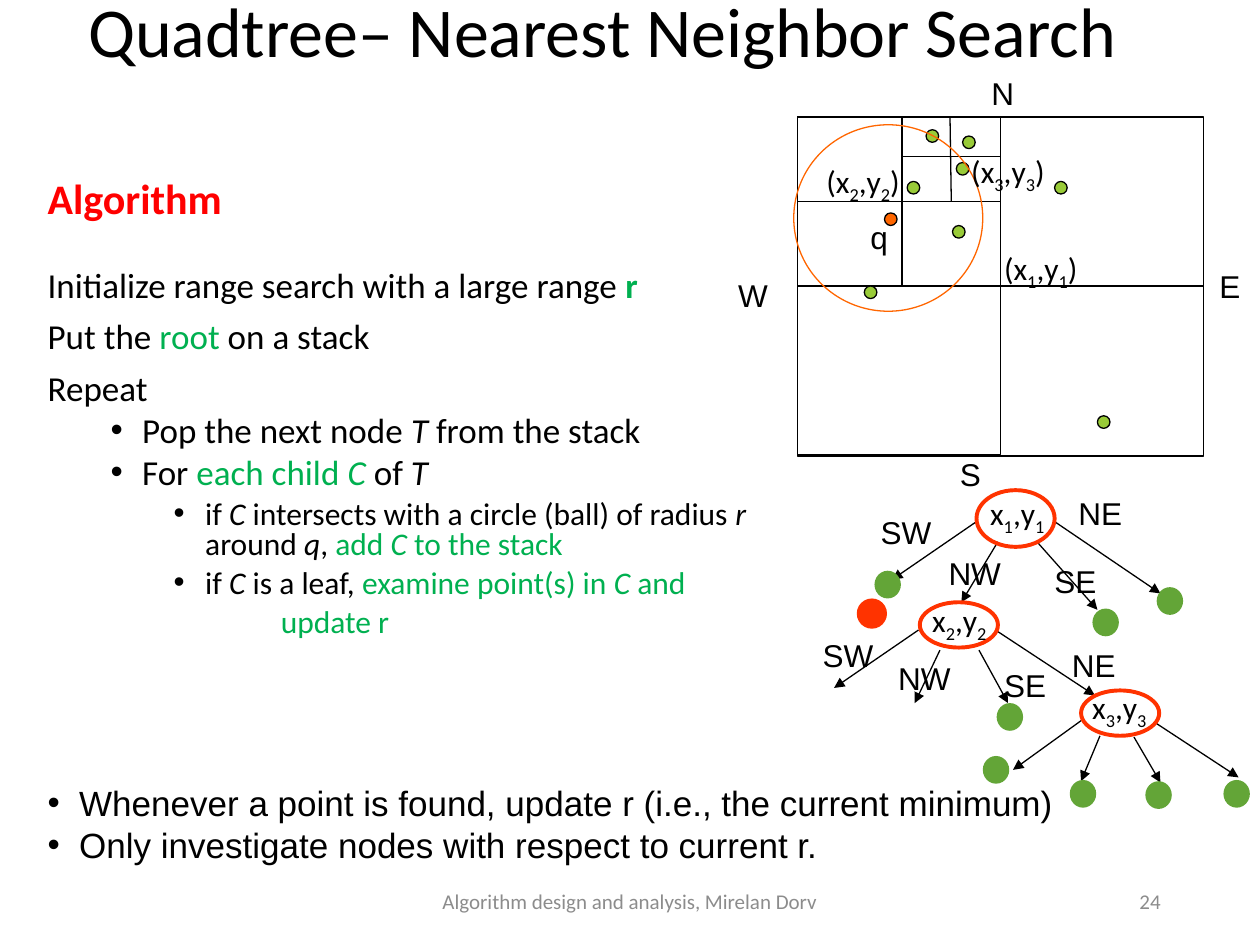
from lxml.etree import SubElement
from pptx import Presentation
from pptx.dml.color import RGBColor
from pptx.enum.shapes import MSO_CONNECTOR, MSO_SHAPE
from pptx.enum.text import MSO_ANCHOR, PP_ALIGN
from pptx.oxml.ns import qn
from pptx.util import Inches, Pt

COLORS = {
    "black": "000000", "red": "FF0000", "green": "00B050", "point": "99CB38",
    "query": "FF6600", "leaf": "63A537", "node": "FF3300", "footer": "8C8C8C",
}


class SlideBuilder:
    def __init__(self, slide):
        self.slide = slide

    def color(self, name):
        return RGBColor.from_string(COLORS[name])

    def text_box(self, left, top, width, height, wrap=True, anchor=MSO_ANCHOR.TOP):
        box = self.slide.shapes.add_textbox(
            Inches(left), Inches(top), Inches(width), Inches(height))
        frame = box.text_frame
        frame.word_wrap = wrap
        frame.vertical_anchor = anchor
        return frame

    def paragraph(self, frame, runs, size, font="Calibri", color="black", indent=0,
                  bullet=False, before=0, spacing=None, align=None):
        """Add runs of (text, marks); marks: g green, i italic, b bold, s subscript."""
        first = not frame.paragraphs[0].runs
        paragraph = frame.paragraphs[0] if first else frame.add_paragraph()
        properties = paragraph._p.get_or_add_pPr()
        properties.set("marL", str(Inches(indent)))
        properties.set("indent", str(Inches(-0.25 if bullet else 0)))
        paragraph.line_spacing = spacing
        paragraph.alignment = align
        if not first:
            paragraph.space_before = Pt(before)
        if bullet:
            SubElement(properties, qn("a:buFont")).set("typeface", "Arial")
            SubElement(properties, qn("a:buChar")).set("char", "•")
        paragraph.font.size = Pt(size)
        paragraph.font.name = font
        paragraph.font.color.rgb = self.color(color)
        for text, marks in runs:
            run = paragraph.add_run()
            run.text = text
            if "g" in marks:
                run.font.color.rgb = self.color("green")
            if "i" in marks:
                run.font.italic = True
            if "b" in marks:
                run.font.bold = True
            if "s" in marks:
                run._r.get_or_add_rPr().set("baseline", "-25000")

    def label(self, left, top, width, runs, font="Arial"):
        frame = self.text_box(left, top, width, 0.4, wrap=False)
        self.paragraph(frame, runs, 18, font)

    def shape(self, kind, left, top, width, height, fill=None, line=None, weight=0.75):
        shape = self.slide.shapes.add_shape(
            kind, Inches(left), Inches(top), Inches(width), Inches(height))
        shape.shadow.inherit = False
        if fill:
            shape.fill.solid()
            shape.fill.fore_color.rgb = self.color(fill)
        else:
            shape.fill.background()
        if line:
            shape.line.color.rgb = self.color(line)
            shape.line.width = Pt(weight)
        else:
            shape.line.fill.background()

    def line(self, x1, y1, x2, y2, arrow=False):
        connector = self.slide.shapes.add_connector(
            MSO_CONNECTOR.STRAIGHT, Inches(x1), Inches(y1), Inches(x2), Inches(y2))
        connector.line.color.rgb = self.color("black")
        connector.line.width = Pt(0.75)
        if arrow:
            SubElement(connector.line._get_or_add_ln(), qn("a:tailEnd")).set("type", "triangle")
        SubElement(connector._element.spPr, qn("a:effectLst"))


def coordinates(index):
    return [("x", ""), (index, "s"), (",y", ""), (index, "s")]


def add_algorithm(builder):
    frame = builder.text_box(0.28, 1.4, 6.25, 3.9)
    builder.paragraph(frame, [("Algorithm", "b")], 24, color="red", spacing=0.8)
    steps = [
        (28, [("Initialize range search with a large range ", ""), ("r", "gb")]),
        (10, [("Put the ", ""), ("root", "g"), (" on a stack", "")]),
        (10, [("Repeat", "")]),
    ]
    for before, runs in steps:
        builder.paragraph(frame, runs, 20, before=before, spacing=0.8)
    loop = [
        (20, 0.75, [("Pop the next node ", ""), ("T", "i"), (" from the stack", "")]),
        (20, 0.75, [("For ", ""), ("each child ", "g"), ("C ", "gi"), ("of ", ""), ("T", "i")]),
        (18, 1.25, [("if ", ""), ("C", "i"), (" intersects with a circle (ball) of radius ", ""),
                    ("r", "i"), (" around ", ""), ("q", "i"), (", ", ""), ("add ", "g"),
                    ("C", "gi"), (" to the stack", "g")]),
        (18, 1.25, [("if ", ""), ("C", "i"), (" is a leaf, ", ""),
                    ("examine point(s) in ", "g"), ("C ", "gi"), ("and", "g")]),
    ]
    for size, indent, runs in loop:
        builder.paragraph(frame, runs, size, indent=indent, bullet=True, before=5, spacing=0.8)
    builder.paragraph(frame, [("update r", "g")], 18, indent=1.85, before=5, spacing=0.8)


def add_map(builder):
    points = [(7.2, 1.44), (8.71, 3.3), (8.37, 1.44), (7.56, 1.79), (6.86, 2.27),
              (7.64, 1.08), (7.59, 1.29), (7.35, 1.03)]
    cells = [(6.33, 0.93, 3.22, 2.69), (6.33, 0.93, 1.61, 1.34), (7.94, 0.93, 1.61, 1.34),
             (6.33, 2.27, 1.61, 1.34), (7.16, 0.93, 0.78, 0.67), (7.16, 1.6, 0.78, 0.67),
             (6.33, 0.93, 0.83, 0.67)]
    for cell in cells:
        builder.shape(MSO_SHAPE.RECTANGLE, *cell, line="black")
    builder.line(7.16, 1.24, 7.94, 1.24)
    builder.line(7.54, 0.93, 7.55, 1.6)
    for x, y in points:
        builder.shape(MSO_SHAPE.FLOWCHART_CONNECTOR, x, y, 0.1, 0.1, "point", "black")
    builder.shape(MSO_SHAPE.FLOWCHART_CONNECTOR, 7.02, 1.69, 0.1, 0.1, "query", "black")
    builder.shape(MSO_SHAPE.OVAL, 6.3, 0.99, 1.5, 1.48, line="query")
    for x, y, index in [(7.87, 1.93, "1"), (6.46, 1.24, "2"), (7.61, 1.16, "3")]:
        builder.label(x, y, 0.81, [("(", ""), *coordinates(index), (")", "")], "Calibri")
    for x, y, width, text in [(6.81, 1.68, 0.34, "q"), (7.77, 0.54, 0.38, "N"),
                              (5.76, 2.14, 0.44, "W"), (9.58, 2.07, 0.38, "E"),
                              (7.52, 3.56, 0.37, "S")]:
        builder.label(x, y, width, [(text, "")])


def add_tree(builder):
    branches = [
        (8.37, 4.14, 9.21, 4.71), (7.75, 4.14, 7.08, 4.6),
        (7.92, 4.3, 7.63, 4.78), (8.23, 4.3, 8.71, 4.84),
        (7.9, 5, 8.69, 5.52), (7.29, 5, 6.62, 5.46),
        (7.46, 5.16, 7.26, 5.58), (7.77, 5.16, 8, 5.58),
        (9.16, 5.73, 9.83, 6.17), (8.58, 5.72, 8.04, 6.11),
        (8.73, 5.84, 8.58, 6.2), (9, 5.85, 9.21, 6.21),
    ]
    leaves = [(6.94, 4.53), (8.67, 4.83), (9.18, 4.66), (7.91, 5.58), (9.71, 6.19),
              (9.09, 6.2), (8.49, 6.19), (7.8, 6)]
    nodes = [(7.75, 3.89, 0.45, 7.76, 3.87, "1"), (7.3, 4.78, 0.36, 7.3, 4.72, "2"),
             (8.58, 5.48, 0.36, 8.57, 5.41, "3")]
    directions = [
        (6.89, 4.02, "SW"), (8.27, 4.41, "SE"), (8.46, 3.87, "NE"), (7.43, 4.35, "NW"),
        (6.43, 5, "SW"), (7.87, 5.24, "SE"), (8.41, 5.08, "NE"), (7.03, 5.18, "NW"),
    ]
    widths = {"SW": 0.62, "SE": 0.55, "NE": 0.56, "NW": 0.64}
    for branch in branches:
        builder.line(*branch, arrow=True)
    for x, y in leaves:
        builder.shape(MSO_SHAPE.OVAL, x, y, 0.21, 0.22, "leaf")
    builder.shape(MSO_SHAPE.OVAL, 6.8, 4.75, 0.24, 0.24, "node")
    for x, y, height, label_x, label_y, index in nodes:
        builder.shape(MSO_SHAPE.OVAL, x, y, 0.62, height, line="node", weight=2.25)
        builder.label(label_x, label_y, 0.66, coordinates(index), "Calibri")
    for x, y, text in directions:
        builder.label(x, y, widths[text], [(text, "")])


def main():
    presentation = Presentation()
    presentation.slide_width = Inches(10)
    presentation.slide_height = Inches(7.5)
    builder = SlideBuilder(presentation.slides.add_slide(presentation.slide_layouts[6]))

    add_algorithm(builder)
    add_map(builder)
    notes = builder.text_box(0.28, 6.15, 9.25, 0.77)
    for text in ["Whenever a point is found, update r (i.e., the current minimum)",
                 "Only investigate nodes with respect to current r."]:
        builder.paragraph(notes, [(text, "")], 20, "Arial", indent=0.25, bullet=True)
    title = builder.text_box(0.6, -0.14, 8.62, 0.84, anchor=MSO_ANCHOR.MIDDLE)
    builder.paragraph(title, [("Quadtree– Nearest Neighbor Search", "")], 40, spacing=0.9)
    for left, width, text, align in [
            (3.31, 3.38, "Algorithm design and analysis, Mirelan Dorv", PP_ALIGN.CENTER),
            (7.06, 2.25, "24", PP_ALIGN.RIGHT)]:
        footer = builder.text_box(left, 6.95, width, 0.4, anchor=MSO_ANCHOR.MIDDLE)
        builder.paragraph(footer, [(text, "")], 12, color="footer", align=align)
    add_tree(builder)

    presentation.save("out.pptx")


if __name__ == "__main__":
    main()
